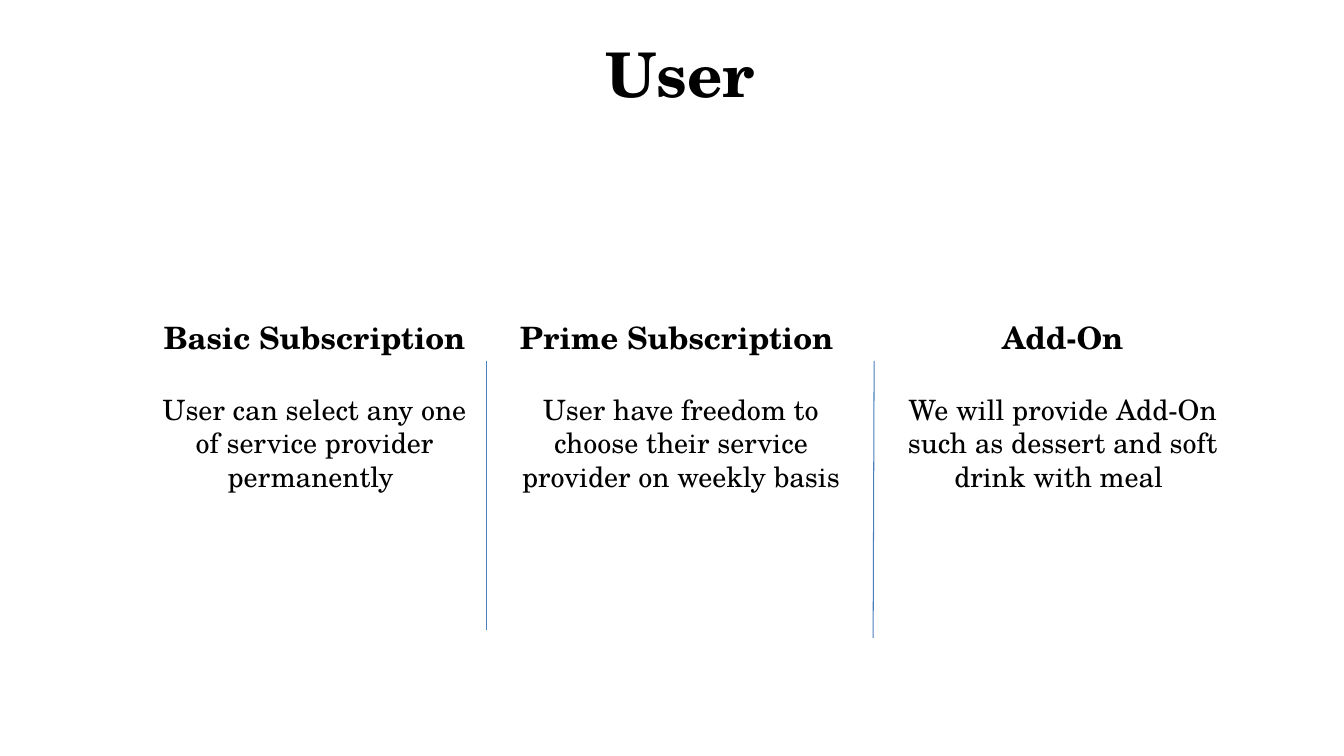
from lxml.etree import SubElement
from pptx import Presentation
from pptx.dml.color import RGBColor
from pptx.enum.shapes import MSO_CONNECTOR as Connector
from pptx.enum.text import MSO_ANCHOR as Anchor, PP_ALIGN as Align
from pptx.oxml.ns import qn
from pptx.util import Inches, Pt

FONT = "TeX Gyre Schola"
PLAN_TOP, PLAN_HEIGHT = 3.11, 1.85
PLANS = [
    (1.41, 3.42, "Basic Subscription",
     "User can select any one of service provider permanently "),
    (4.84, 3.83, "Prime Subscription ",
     "User have freedom to choose their service provider on weekly basis"),
    (8.75, 3.58, "Add-On",
     "We will provide Add-On such as dessert and soft drink with meal "),
]
DIVIDER_TOP = 3.58
DIVIDERS = [(4.83, 4.83, 6.25), (8.67, 8.66, 6.33)]


def color(value):
    return RGBColor.from_string(value)


def add_text_frame(page, left, top, width, height):
    box = page.shapes.add_textbox(
        Inches(left), Inches(top), Inches(width), Inches(height))
    frame = box.text_frame
    frame.word_wrap = True
    frame.vertical_anchor = Anchor.TOP
    return frame


def write(para, text, size, bold=False):
    para.alignment = Align.CENTER
    span = para.add_run()
    span.text = text
    span.font.name = FONT
    span.font.size = Pt(size)
    span.font.bold = bold
    span.font.color.rgb = color("000000")


def add_title(page, left, top, width, height):
    frame = add_text_frame(page, left, top, width, height)
    write(frame.paragraphs[0], "User ", 44, bold=True)


def add_plan(page, left, top, width, height, heading, description):
    frame = add_text_frame(page, left, top, width, height)
    write(frame.paragraphs[0], heading, 22, bold=True)
    para = frame.add_paragraph()
    para.space_before = Pt(26.4)
    write(para, description, 20)


def add_divider(page, start, top, end, bottom):
    line = page.shapes.add_connector(
        Connector.STRAIGHT, Inches(start), Inches(top), Inches(end), Inches(bottom))
    line.line.color.rgb = color("4B7EBC")
    line.line.width = Pt(0.75)
    SubElement(line._element.spPr, qn("a:effectLst"))


def main():
    deck = Presentation()
    deck.slide_width, deck.slide_height = Inches(13.33), Inches(7.5)
    page = deck.slides.add_slide(deck.slide_layouts[6])
    page.background.fill.solid()
    page.background.fill.fore_color.rgb = color("FFFFFF")
    for start, end, bottom in DIVIDERS:
        add_divider(page, start, DIVIDER_TOP, end, bottom)
    for left, width, heading, description in PLANS:
        add_plan(page, left, PLAN_TOP, width, PLAN_HEIGHT, heading, description)
    add_title(page, 1.75, 0.31, 10.17, 1.58)
    deck.save("out.pptx")


if __name__ == "__main__":
    main()
